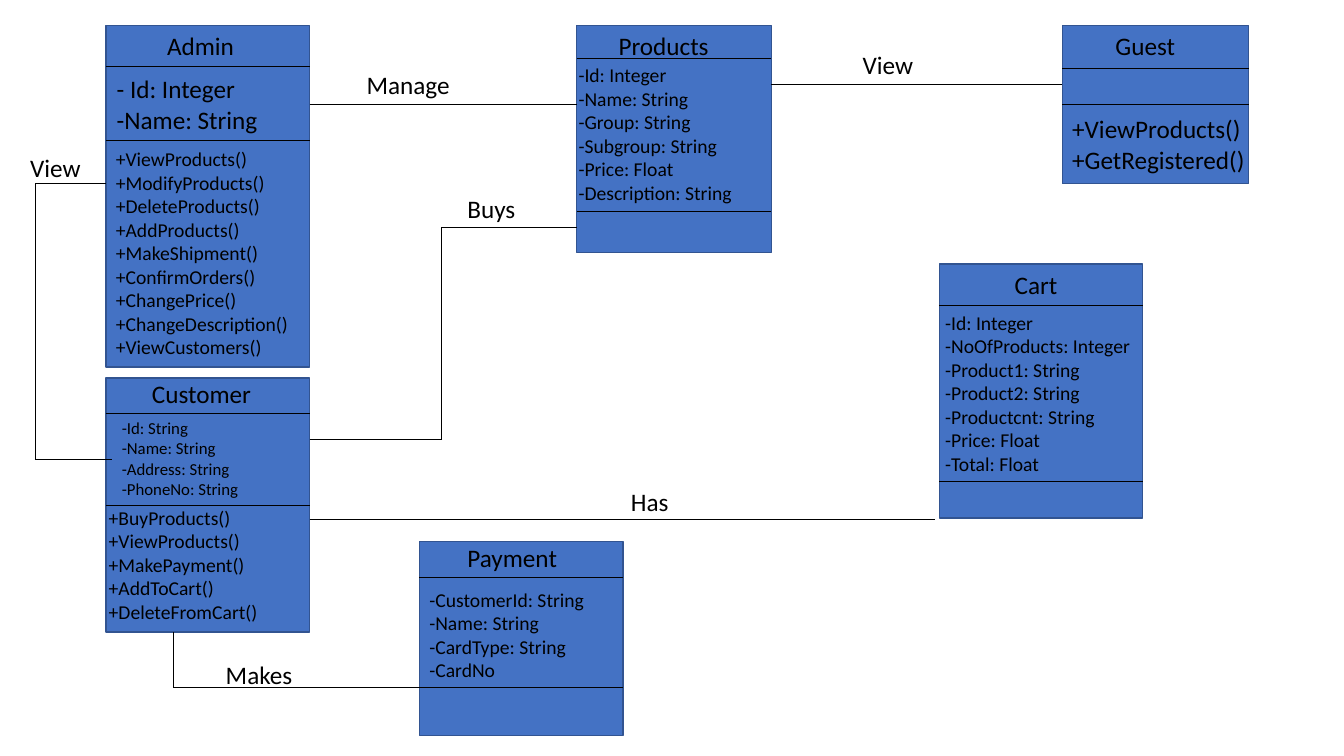
from itertools import pairwise

from lxml import etree
from pptx import Presentation
from pptx import util as u
from pptx.dml.color import RGBColor
from pptx.enum import shapes, text
from pptx.oxml.ns import qn

COLOURS = {"box": "4472C4", "border": "325491", "ink": "000000"}
FONT = "Calibri"

# Each class: box (left, top, width, height), divider heights,
# and texts (left, top, width, size, lines), all in centimetres.
CLASSES = [
    ((2.67, 0.64, 5.13, 8.61), (1.68, 3.53), [
        (3.96, 0.64, 2.54, 18, ["Admin"]),
        (2.69, 1.73, 4.32, 18, ["- Id: Integer", "-Name: String"]),
        (2.67, 3.58, 5.66, 14, [
            "+ViewProducts()", "+ModifyProducts()", "+DeleteProducts()",
            "+AddProducts()", "+MakeShipment()", "+ConfirmOrders()",
            "+ChangePrice()", "+ChangeDescription()", "+ViewCustomers()"]),
    ]),
    ((26.77, 0.64, 4.7, 3.99), (1.73, 2.62), [
        (27.86, 0.64, 2.54, 18, ["Guest"]),
        (26.77, 2.74, 5.13, 18, ["+ViewProducts()", "+GetRegistered()"]),
    ]),
    ((14.53, 0.64, 4.91, 5.72), (1.47, 5.33), [
        (15.34, 0.64, 2.92, 18, ["Products"]),
        (14.33, 1.47, 5.13, 14, [
            "-Id: Integer", "-Name: String", "-Group: String",
            "-Subgroup: String", "-Price: Float", "-Description: String"]),
    ]),
    ((23.67, 6.65, 5.13, 6.4), (7.7, 12.14), [
        (25.32, 6.65, 2.54, 18, ["Cart"]),
        (23.57, 7.7, 6.78, 14, [
            "-Id: Integer", "-NoOfProducts: Integer", "-Product1: String",
            "-Product2: String", "-Productcnt: String", "-Price: Float",
            "-Total: Float"]),
    ]),
    ((2.67, 9.53, 5.13, 6.4), (10.41, 12.73), [
        (3.58, 9.42, 3.3, 18, ["Customer"]),
        (2.82, 10.41, 5.13, 12, [
            "-Id: String", "-Name: String", "-Address: String",
            "-PhoneNo: String"]),
        (2.49, 12.62, 6.05, 14, [
            "+BuyProducts()", "+ViewProducts()", "+MakePayment()",
            "+AddToCart()", "+DeleteFromCart()"]),
    ]),
    ((10.57, 13.64, 5.13, 4.9), (14.55, 17.32), [
        (11.53, 13.54, 3.78, 18, ["Payment"]),
        (10.57, 14.68, 6.48, 14, [
            "-CustomerId: String", "-Name: String", "-CardType: String",
            "-CardNo"]),
    ]),
]

# Each relation: label, label left and top, corner points of its line.
RELATIONS = [
    ("Manage", 8.99, 1.63, [(7.8, 2.62), (14.53, 2.62)]),
    ("View", 21.49, 1.12, [(19.44, 2.13), (26.77, 2.13)]),
    ("Buys", 11.53, 4.75,
     [(7.8, 11.07), (11.13, 11.07), (11.13, 5.72), (14.53, 5.72)]),
    ("Has", 15.65, 12.12, [(7.8, 13.08), (23.57, 13.08)]),
    ("Makes", 5.44, 16.48, [(4.37, 15.93), (4.37, 17.32), (10.57, 17.32)]),
    ("View", 0.51, 3.71,
     [(2.67, 4.62), (0.88, 4.62), (0.88, 11.58), (2.82, 11.58)]),
]


def colour(name):
    return RGBColor.from_string(COLOURS[name])


def add_box(slide, left, top, width, height):
    shape = slide.shapes.add_shape(
        shapes.MSO_SHAPE.RECTANGLE,
        u.Cm(left), u.Cm(top), u.Cm(width), u.Cm(height))
    shape.shadow.inherit = False
    shape.fill.solid()
    shape.fill.fore_color.rgb = colour("box")
    shape.line.color.rgb = colour("border")
    shape.line.width = u.Pt(1)


def add_line(slide, start, end):
    connector = slide.shapes.add_connector(
        shapes.MSO_CONNECTOR.STRAIGHT, *map(u.Cm, (*start, *end)))
    connector.line.color.rgb = colour("ink")
    connector.line.width = u.Pt(0.5)
    etree.SubElement(connector._element.spPr, qn("a:effectLst"))


def add_text(slide, left, top, width, size, lines):
    height = 0.25 + 0.043 * size * len(lines)
    box = slide.shapes.add_textbox(
        u.Cm(left), u.Cm(top), u.Cm(width), u.Cm(height))
    frame = box.text_frame
    frame.word_wrap = True
    frame.auto_size = text.MSO_AUTO_SIZE.SHAPE_TO_FIT_TEXT
    for index, line in enumerate(lines):
        paragraph = frame.add_paragraph() if index else frame.paragraphs[0]
        run = paragraph.add_run()
        run.text = line
        run.font.name = FONT
        run.font.size = u.Pt(size)
        run.font.color.rgb = colour("ink")


def add_class(slide, box, dividers, texts):
    add_box(slide, *box)
    left, _, width, _ = box
    for height in dividers:
        add_line(slide, (left, height), (left + width, height))
    for entry in texts:
        add_text(slide, *entry)


def add_relation(slide, label, left, top, points):
    for start, end in pairwise(points):
        add_line(slide, start, end)
    add_text(slide, left, top, 3.3 if label == "Manage" else 2.54, 18, [label])


def main():
    presentation = Presentation()
    presentation.slide_width = u.Cm(33.87)
    presentation.slide_height = u.Cm(19.05)
    slide = presentation.slides.add_slide(presentation.slide_layouts[6])
    for entry in CLASSES:
        add_class(slide, *entry)
    for relation in RELATIONS:
        add_relation(slide, *relation)
    presentation.save("out.pptx")


if __name__ == "__main__":
    main()
